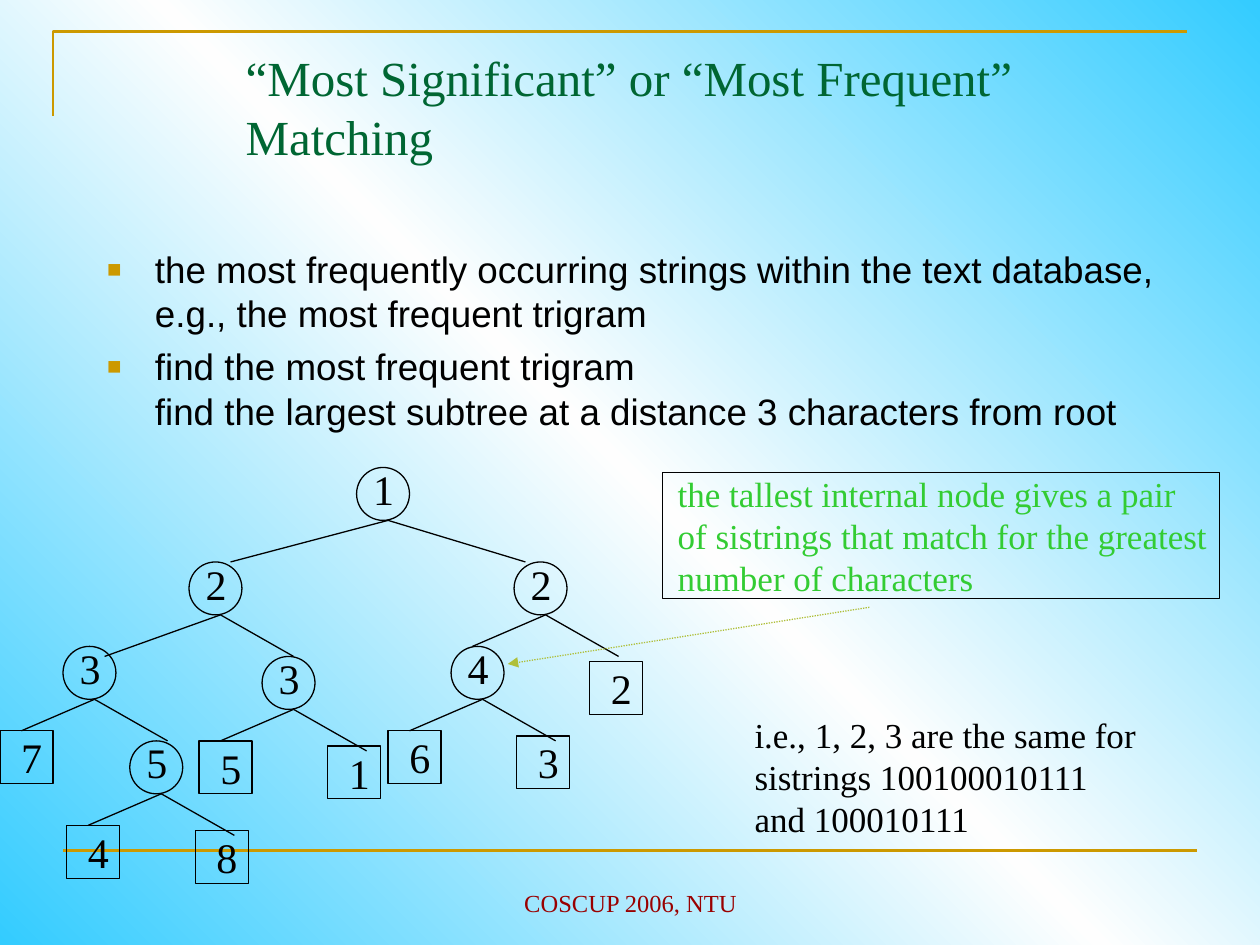
"""Build a slide on most frequent matching in a PAT tree."""
from dataclasses import dataclass

from lxml.etree import SubElement
from pptx import Presentation
from pptx.dml.color import RGBColor
from pptx.enum.dml import MSO_LINE
from pptx.enum.shapes import MSO_CONNECTOR, MSO_SHAPE
from pptx.enum.text import MSO_ANCHOR, MSO_AUTO_SIZE, PP_ALIGN
from pptx.oxml.ns import qn
from pptx.util import Inches, Pt


@dataclass(frozen=True)
class Theme:
    serif: str = "Times New Roman"
    sans: str = "Arial"
    ink: str = "000000"
    title: str = "006633"
    gold: str = "CC9900"
    note: str = "33CC33"
    arrow: str = "AFBF39"
    footer: str = "990000"
    sky: tuple = ((0, "33CCFF"), (50, "FEFEFE"), (100, "33CCFF"))
    title_pt: int = 28
    body_pt: int = 21
    node_pt: int = 24
    note_pt: int = 20
    footer_pt: int = 14
    thin: float = 0.75
    rule: float = 1.5


T = Theme()
TITLE = "“Most Significant” or “Most Frequent” Matching"
BULLETS = [
    "the most frequently occurring strings within the text database, "
    "e.g., the most frequent trigram",
    "find the most frequent trigram\vfind the largest subtree at a distance 3 characters from root",
]
CALLOUT = ["the tallest internal node gives a pair",
           "of sistrings that match for the greatest",
           "number of characters"]
EXAMPLE = ["i.e., 1, 2, 3 are the same for", "sistrings 100100010111", "and 100010111"]
FOOTER = ["COSCUP 2006, NTU"]

SIZE = 0.42
LEFT, RIGHT = (-0.58, 0.25), (0.58, 0.33)
INTERNAL = [
    ("1", 2.83, 3.71, (-1.25, 0.33), (1.09, 0.33)),
    ("2", 1.5, 4.46, (-0.92, 0.33), RIGHT),
    ("2", 4.08, 4.46, LEFT, RIGHT),
    ("3", 0.5, 5.13, LEFT, RIGHT),
    ("3", 2.08, 5.21, LEFT, RIGHT),
    ("4", 3.58, 5.13, LEFT, RIGHT),
    ("5", 1.03, 5.88, LEFT, RIGHT),
]
LEAVES = [("2", 4.68, 5.25), ("7", 0, 5.8), ("5", 1.58, 5.88), ("1", 2.6, 5.92),
          ("6", 3.08, 5.8), ("3", 4.1, 5.84), ("4", 0.53, 6.55), ("8", 1.55, 6.59)]


def inches(*values):
    return [Inches(v) for v in values]


def style(p, font, size, color, align=PP_ALIGN.LEFT):
    p.alignment = align
    for r in p.runs:
        r.font.name, r.font.size = font, Pt(size)
        r.font.color.rgb = RGBColor.from_string(color)


def add_text(s, box, lines, size, color, align=PP_ALIGN.LEFT, wrap=False):
    tf = s.shapes.add_textbox(*inches(*box)).text_frame
    tf.word_wrap = wrap
    for i, line in enumerate(lines):
        p = tf.add_paragraph() if i else tf.paragraphs[0]
        p.text = line
        style(p, T.serif, size, color, align)
    return tf


def outline(sp, color=T.ink, width=T.thin):
    sp.fill.background()
    sp.shadow.inherit = False
    sp.line.color.rgb = RGBColor.from_string(color)
    sp.line.width = Pt(width)


def add_line(s, x1, y1, x2, y2, color=T.ink, width=T.thin):
    c = s.shapes.add_connector(MSO_CONNECTOR.STRAIGHT, *inches(x1, y1, x2, y2))
    c.line.color.rgb = RGBColor.from_string(color)
    c.line.width = Pt(width)
    SubElement(c.element.spPr, qn("a:effectLst"))
    return c


def add_node(s, label, x, y, kind, label_box):
    outline(s.shapes.add_shape(kind, *inches(x, y, SIZE, SIZE)))
    dx, dy, w = label_box
    add_text(s, (x + dx, y + dy, w, 0.5), [label], T.node_pt, T.ink,
             PP_ALIGN.CENTER, wrap=kind == MSO_SHAPE.OVAL)


def add_background(s):
    fill = s.background.fill
    fill.gradient()
    fill.gradient_angle = 225
    stops = next(s.element.iter(qn("a:gsLst")))
    stops.clear()
    for pos, color in T.sky:
        gs = SubElement(stops, qn("a:gs"), pos=str(pos * 1000))
        SubElement(gs, qn("a:srgbClr"), val=color)


def add_frame(s):
    corner = s.shapes.build_freeform(*inches(0.42, 0.92))
    corner.add_line_segments([inches(0.42, 0.25), inches(9.42, 0.25)], close=False)
    outline(corner.convert_to_shape(), T.gold, T.rule)
    add_line(s, 0.5, 6.75, 9.5, 6.75, T.gold, T.rule)


def place(sp, box):
    sp.left, sp.top, sp.width, sp.height = inches(*box)
    tf = sp.text_frame
    tf.auto_size = MSO_AUTO_SIZE.NONE
    tf.vertical_anchor = MSO_ANCHOR.TOP
    return tf


def add_bullet(p):
    pPr = p._p.get_or_add_pPr()
    pPr.set("marL", str(Inches(0.38)))
    pPr.set("indent", str(Inches(-0.38)))
    SubElement(SubElement(pPr, qn("a:buClr")), qn("a:srgbClr"), val=T.gold)
    SubElement(pPr, qn("a:buSzPct"), val="65000")
    SubElement(pPr, qn("a:buFont"), typeface=T.sans)
    SubElement(pPr, qn("a:buChar"), char="■")


def add_placeholders(s):
    tf = place(s.shapes.title, (1.85, 0.33, 7.72, 1.25))
    tf.text = TITLE
    style(tf.paragraphs[0], T.serif, T.title_pt, T.title)
    tf = place(s.placeholders[1], (0.75, 1.91, 8.55, 4.5))
    for i, item in enumerate(BULLETS):
        p = tf.add_paragraph() if i else tf.paragraphs[0]
        p.text = item
        p.space_before = Pt(5.2)
        style(p, T.sans, T.body_pt, T.ink)
        add_bullet(p)


def add_tree(s):
    for label, x, y, *edges in INTERNAL:
        add_node(s, label, x, y, MSO_SHAPE.OVAL, (0, -0.08, 0.43))
        x0, y0 = x + 0.25, y + SIZE
        for dx, dy in edges:
            add_line(s, x0, y0, x0 + dx, y0 + dy)
    for label, x, y in LEAVES:
        add_node(s, label, x, y, MSO_SHAPE.RECTANGLE, (0.07, -0.04, 0.36))


def add_notes(s):
    arrow = add_line(s, 6.9, 4.82, 4.03, 5.27, T.arrow)
    arrow.line.dash_style = MSO_LINE.ROUND_DOT
    SubElement(arrow.line._get_or_add_ln(), qn("a:tailEnd"), type="triangle")
    add_text(s, (5.28, 3.7, 4.5, 1.1), CALLOUT, T.note_pt, T.note, wrap=True)
    outline(s.shapes.add_shape(MSO_SHAPE.RECTANGLE, *inches(5.26, 3.75, 4.42, 1)))
    add_text(s, (5.89, 5.61, 3.23, 1.1), EXAMPLE, T.note_pt, T.ink)
    tf = add_text(s, (3.42, 6.83, 3.17, 0.5), FOOTER, T.footer_pt, T.footer,
                  PP_ALIGN.CENTER, wrap=True)
    tf.vertical_anchor = MSO_ANCHOR.BOTTOM


def main():
    prs = Presentation()
    prs.slide_width, prs.slide_height = inches(10, 7.5)
    s = prs.slides.add_slide(prs.slide_layouts[1])
    for build in (add_background, add_frame, add_placeholders, add_tree, add_notes):
        build(s)
    prs.save("out.pptx")


if __name__ == "__main__":
    main()
